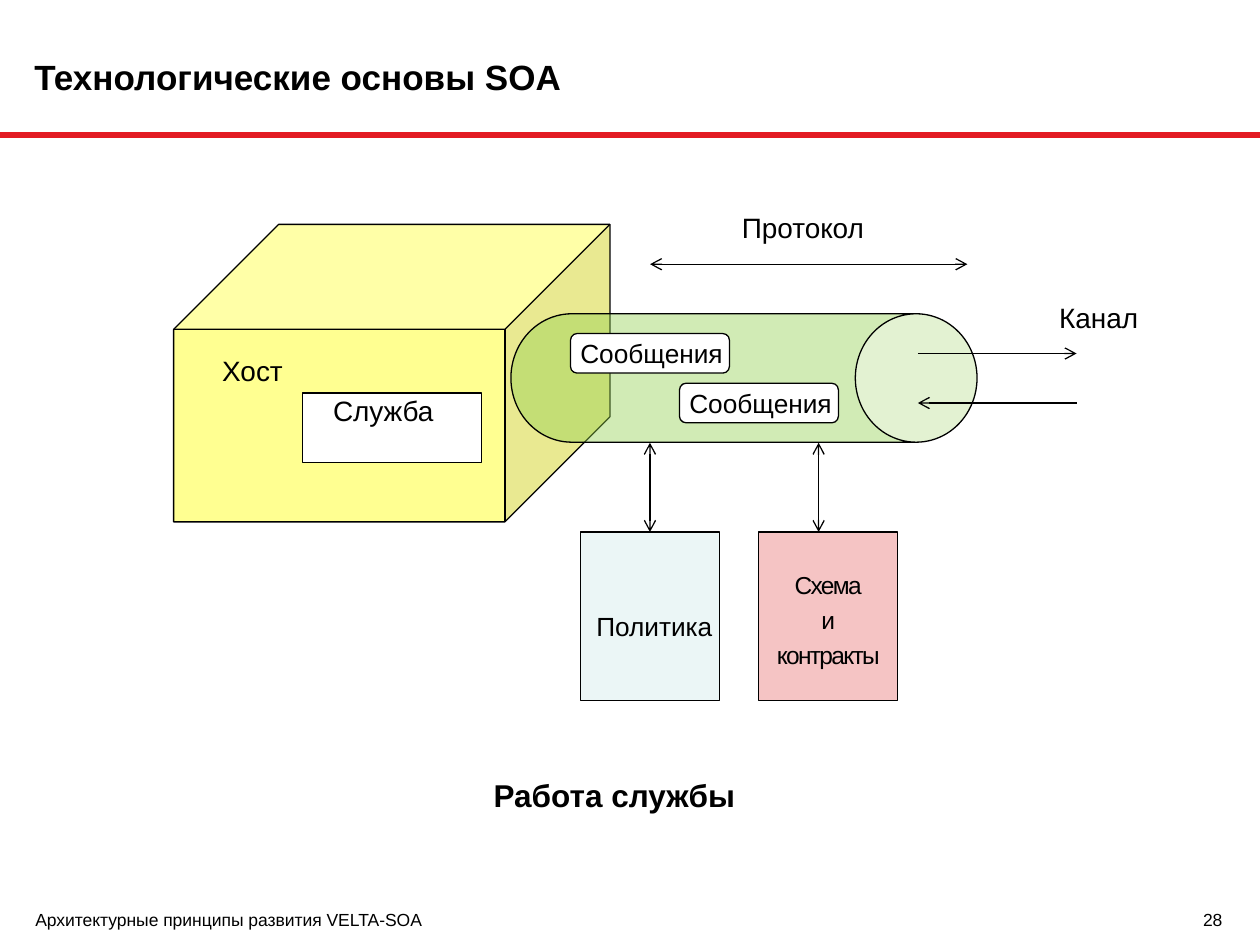
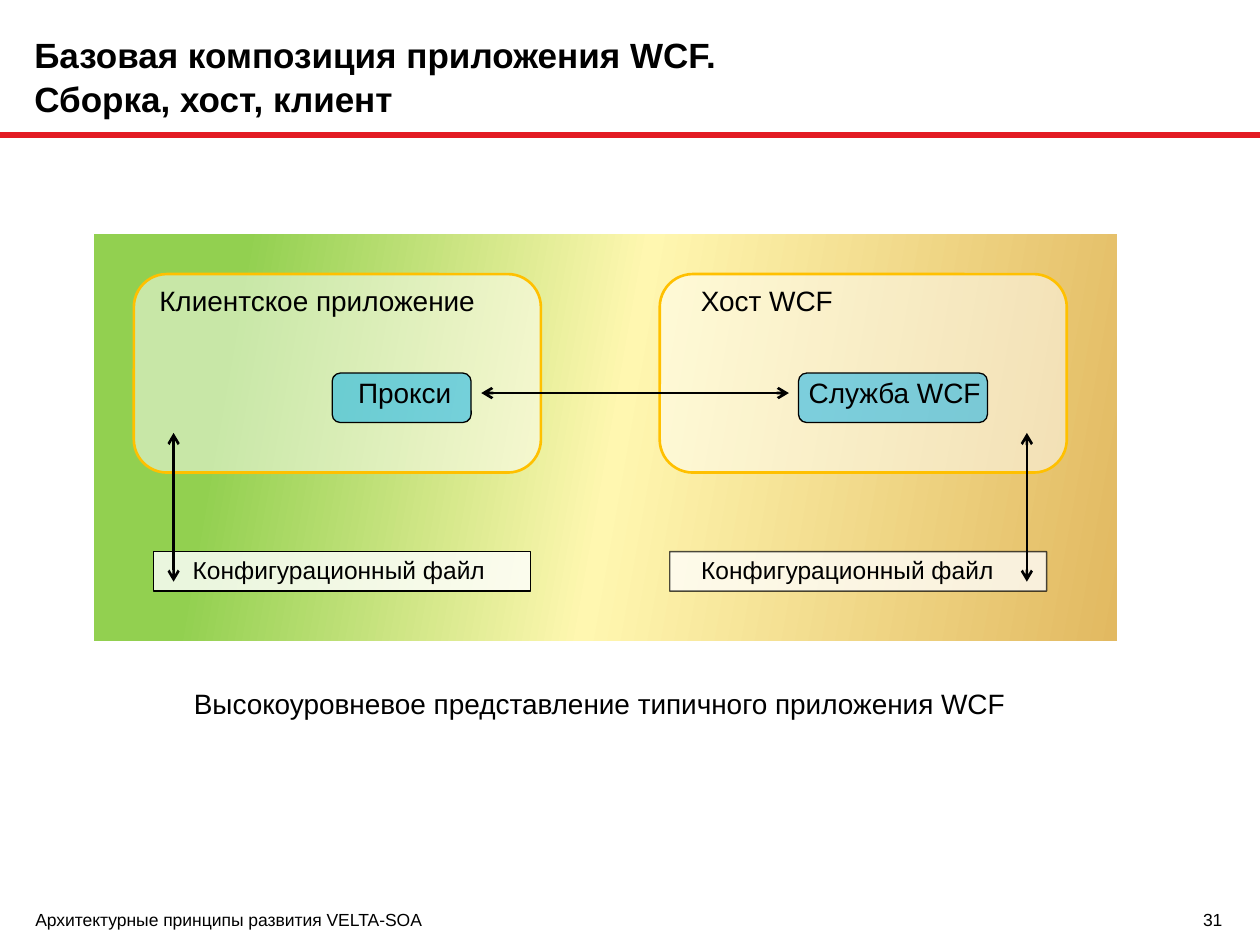
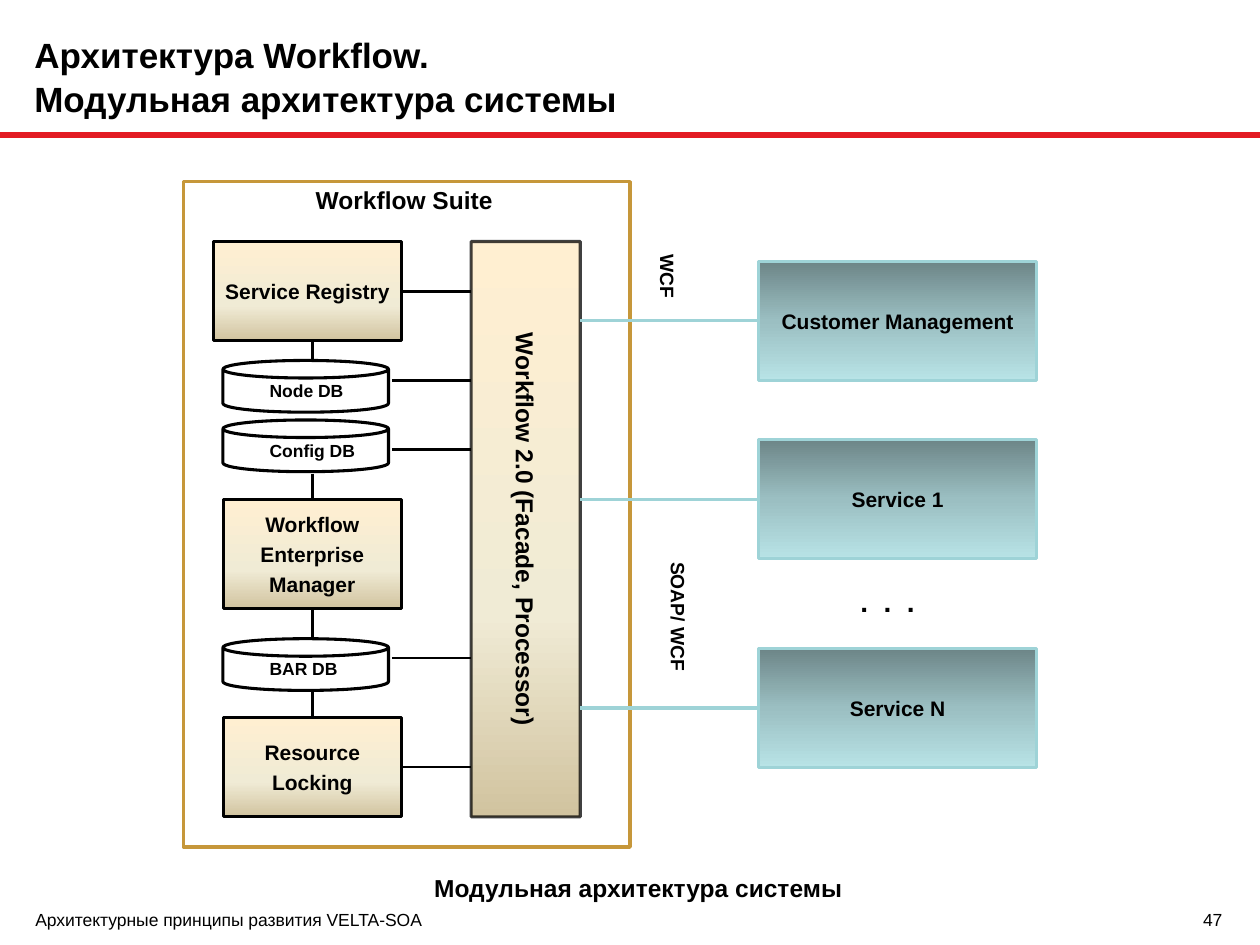
import pptx
import pptx.dml.color
import pptx.enum.shapes
import pptx.enum.text
import pptx.oxml
import pptx.oxml.ns
import pptx.util
from dataclasses import dataclass
from lxml import etree

Pt = pptx.util.Pt
qn = pptx.oxml.ns.qn
RGB = pptx.dml.color.RGBColor.from_string
SHAPE = pptx.enum.shapes.MSO_SHAPE
ANCHOR = pptx.enum.text.MSO_ANCHOR
ALIGN = pptx.enum.text.PP_ALIGN


@dataclass(frozen=True)
class Theme:
    font: str = "Arial"
    black: str = "000000"
    white: str = "FFFFFF"
    red: str = "E31B23"
    amber: str = "FFC000"
    gold: str = "C6973A"
    aqua: str = "9ED3D7"
    # Translucent paints are (colour, opacity in percent)
    host: tuple = ("FFFF00", 43)
    channel: tuple = ("92D050", 42)
    policy: tuple = ("BBE0E3", 29)
    contract: tuple = ("DB1515", 25)
    program: tuple = ("FFFFFF", 50)
    endpoint: tuple = ("00AEEF", 50)
    # Gradients are (angle, stops)
    landscape: tuple = (10, ((14, "92D050"), (51, "FFF7B0"), (100, "E2B961")))
    sand: tuple = (90, ((0, "FFEFD1"), (65, "F0EBD5"), (100, "D1C39F")))
    steel: tuple = (90, ((0, "6D8688"), (50, "9BBFC2"), (100, "B8E3E6")))
    title: int = 20
    heading: int = 18
    body: int = 16
    message: int = 15
    small: int = 14
    block: int = 12
    protocol: int = 11
    footer: int = 10


theme = Theme()


def add_box(page, kind, place, lines=(), size=theme.body, bold=False, fill=None,
            line=None, weight=0.75, inset=(0, 0), align=ALIGN.LEFT,
            anchor=ANCHOR.TOP, vertical=False, tracking=0, lead=0.23):
    """Add a shape, or a text box when kind is None; inset is (left, top)."""
    place = [Pt(value) for value in place]
    if kind is None:
        box = page.shapes.add_textbox(*place)
    else:
        box = page.shapes.add_shape(kind, *place)
        box.shadow.inherit = False
        box.line.width = Pt(weight)
        for target, paint in ((box.fill, fill), (box.line.fill, line)):
            if paint is None:
                target.background()
            elif isinstance(paint, tuple) and isinstance(paint[1], tuple):
                target.gradient()
                gradient = box._element.spPr.find(qn("a:gradFill"))
                gradient.find(qn("a:lin")).set("ang", str(paint[0] * 60000))
                stops = gradient.find(qn("a:gsLst"))
                stops.clear()
                for position, colour in paint[1]:
                    stop = etree.SubElement(stops, qn("a:gs"), pos=str(position * 1000))
                    etree.SubElement(stop, qn("a:srgbClr"), val=colour)
            else:
                colour, opacity = paint if isinstance(paint, tuple) else (paint, 100)
                target.solid()
                target.fore_color.rgb = RGB(colour)
                if opacity < 100:
                    parent = box._element.spPr
                    if target is not box.fill:
                        parent = parent.find(qn("a:ln"))
                    tint = parent.find(qn("a:solidFill")).find(qn("a:srgbClr"))
                    etree.SubElement(tint, qn("a:alpha"), val=str(opacity * 1000))
    frame = box.text_frame
    frame.word_wrap = True
    frame.vertical_anchor = anchor
    frame.margin_left, frame.margin_top = Pt(inset[0]), Pt(inset[1])
    frame.margin_right = frame.margin_bottom = 0
    if vertical:
        frame._txBody.bodyPr.set("vert", "vert")
    for index, text in enumerate(lines):
        para = frame.add_paragraph() if index else frame.paragraphs[0]
        para.alignment = align
        para.space_before = Pt(round(size * lead, 1))
        span = para.add_run()
        span.text = text
        span.font.name, span.font.size, span.font.bold = theme.font, Pt(size), bold
        span.font.color.rgb = RGB(theme.black)
        if tracking:
            span._r.get_or_add_rPr().set("spc", str(round(tracking * 100)))
    return box


def add_line(page, start, end, colour=theme.black, weight=0.75, heads=(),
             begin=None, finish=None):
    """Add a line; begin and finish are (shape, site) joints."""
    line = page.shapes.add_connector(
        pptx.enum.shapes.MSO_CONNECTOR.STRAIGHT, *[Pt(value) for value in (*start, *end)])
    line.line.color.rgb = RGB(colour)
    line.line.width = Pt(weight)
    for head in heads:
        etree.SubElement(line.line._get_or_add_ln(), qn("a:" + head), type="arrow")
    etree.SubElement(line._element.spPr, qn("a:effectLst"))
    if begin:
        line.begin_connect(*begin)
    if finish:
        line.end_connect(*finish)


BOTH = ("headEnd", "tailEnd")
TO_END = ("tailEnd",)
LABEL_INSET = (7.2, 3.6)

deck = pptx.Presentation()
deck.slide_width, deck.slide_height = Pt(720), Pt(540)

# Shared frame: rule, title, footer, page number
pages = []
for number, title_lines in (
    ("28", ["Технологические основы SOA"]),
    ("31", ["Базовая композиция приложения WCF.", "Сборка, хост, клиент"]),
    ("47", ["Архитектура Workflow.", "Модульная архитектура системы"]),
):
    page = deck.slides.add_slide(deck.slide_layouts[5])
    pages.append(page)
    add_line(page, (0, 77.2), (720, 77.2), theme.red, 3)
    title = page.shapes.title
    title.left, title.top, title.width, title.height = Pt(19.6), Pt(9.5), Pt(607), Pt(67.5)
    frame = title.text_frame
    frame.word_wrap = True
    frame.auto_size = pptx.enum.text.MSO_AUTO_SIZE.NONE
    frame.vertical_anchor = ANCHOR.MIDDLE
    frame.margin_left = frame.margin_top = frame.margin_right = frame.margin_bottom = 0
    para = frame.paragraphs[0]
    para.alignment = ALIGN.LEFT
    para.line_spacing = 1.04
    for index, text in enumerate(title_lines):
        if index:
            para.add_line_break()
        span = para.add_run()
        span.text = text
        span.font.name, span.font.size, span.font.bold = theme.font, Pt(theme.title), True
        span.font.color.rgb = RGB(theme.black)
    add_box(page, None, (20.2, 514, 640, 17.3), ["Архитектурные принципы развития VELTA-SOA"],
            theme.footer, anchor=ANCHOR.BOTTOM, lead=0)
    add_box(page, None, (667.5, 514, 31, 17.3), [number], theme.footer,
            align=ALIGN.RIGHT, anchor=ANCHOR.BOTTOM, lead=0)

service_page, wcf_page, workflow_page = pages

# Service operation
page = service_page
host = add_box(page, SHAPE.CUBE, (99.2, 128.2, 249.3, 170), fill=theme.host, line=theme.black)
host.adjustments[0] = 0.353
channel = add_box(page, SHAPE.CAN, (388.4, 82.8, 73.4, 266.4),
                  fill=theme.channel, line=theme.black)
channel.adjustments[0] = 0.948
channel.rotation = 90
add_box(page, None, (275, 440, 159, 28.8), ["Работа службы"], theme.heading, True,
        inset=LABEL_INSET)
add_box(page, SHAPE.RECTANGLE, (172.8, 224.6, 102.2, 39.6), ["Служба"],
        fill=theme.white, line=theme.black, inset=(17.5, 0))
add_box(page, None, (105, 202.3, 72, 28), ["Хост"], inset=(22, 0))
for left, top in ((326, 190.6), (388.3, 219)):
    add_box(page, SHAPE.ROUNDED_RECTANGLE, (left, top, 90.8, 22.6), ["Сообщения"],
            theme.message, fill=theme.white, line=theme.black, inset=(4.5, 1))
for left, top, width, text in ((416.8, 116.6, 90, "Протокол"), (598.2, 168, 66, "Канал")):
    add_box(page, None, (left, top, width, 26.6), [text], inset=LABEL_INSET)
policy = add_box(page, SHAPE.RECTANGLE, (331.7, 304, 79.4, 96.3), ["Политика"],
                 theme.message, fill=theme.policy, line=theme.black, inset=(9, 45))
add_box(page, SHAPE.RECTANGLE, (433.6, 304, 79.4, 96.3), ["Схема", "и", "контракты"],
        theme.small, fill=theme.contract, line=theme.black, inset=(0, 21.6),
        align=ALIGN.CENTER, tracking=-1)
add_line(page, (371.5, 151), (552.8, 151), heads=BOTH)
add_line(page, (524.5, 202), (615.2, 202), heads=TO_END)
add_line(page, (615.2, 230.3), (524.5, 230.3), heads=TO_END)
add_line(page, (371.4, 253), (371.4, 304), heads=BOTH, finish=(policy, 0))
add_line(page, (467.8, 253), (467.8, 304), heads=BOTH)

# WCF application
page = wcf_page
add_box(page, SHAPE.RECTANGLE, (53.8, 133.8, 584.4, 232.5), fill=theme.landscape)
for left, text, indent in ((76.5, "Клиентское приложение", 9), (377, "Хост WCF", 18)):
    add_box(page, SHAPE.ROUNDED_RECTANGLE, (left, 156.6, 232.6, 113.4), [text],
            fill=theme.program, line=theme.amber, weight=1.5, inset=(indent, 0))
for left, width, text, indent in ((456.3, 108, "Служба WCF", 4.5), (189.8, 79.4, "Прокси", 13.5)):
    add_box(page, SHAPE.ROUNDED_RECTANGLE, (left, 213.2, width, 28.3), [text],
            fill=theme.endpoint, line=theme.black, inset=(indent, 0))
for left, opacity, line_opacity, indent in ((382.7, 76, 69, 18), (87.7, 81, 100, 22.4)):
    add_box(page, SHAPE.RECTANGLE, (left, 315.2, 215.4, 22.6), ["Конфигурационный файл"],
            theme.small, fill=(theme.white, opacity), line=(theme.black, line_opacity),
            inset=(indent, 2))
add_line(page, (275, 224.6), (450.8, 224.6), weight=1.5, heads=BOTH)
for x in (586.8, 99.2):
    add_line(page, (x, 247.4), (x, 332.4), weight=1.5, heads=BOTH)
add_box(page, None, (99.2, 388.8, 487.5, 26.6),
        ["Высокоуровневое представление типичного приложения WCF"], inset=(11.6, 3.6))

# Workflow modules
page = workflow_page
add_box(page, None, (241, 495.4, 253, 24.5), ["Модульная архитектура системы"],
        theme.small, True, inset=LABEL_INSET)
add_box(page, SHAPE.RECTANGLE, (104.9, 103.8, 255.1, 380.2), ["Workflow Suite"], theme.small,
        True, line=theme.gold, weight=2, inset=(75.5, 2))
modules = []
for left, top, width, height, lines in (
    (121.8, 138, 107.8, 56.8, ["Service Registry"]),
    (127.5, 285.3, 102, 62.4, ["Workflow", "Enterprise", "Manager"]),
    (127.5, 410, 102, 56.8, ["Resource", "Locking"]),
):
    modules.append(add_box(page, SHAPE.RECTANGLE, (left, top, width, height), lines, theme.block,
                           True, theme.sand, theme.black, 1.75, align=ALIGN.CENTER,
                           anchor=ANCHOR.MIDDLE))
registry, manager, locking = modules
add_box(page, SHAPE.RECTANGLE, (269.2, 138, 62.4, 328.8), ["Workflow 2.0 (Facade, Processor)"],
        theme.small, True, theme.sand, (theme.black, 75), 1.75, align=ALIGN.CENTER,
        anchor=ANCHOR.MIDDLE, vertical=True)
for top, text, fill in ((365, "BAR DB", theme.white), (240, "Config DB", theme.white),
                        (206, "Node DB", (theme.white, 41))):
    store = add_box(page, SHAPE.CAN, (127.4, top, 94.6, 29.6), [text], theme.footer, True,
                    fill, theme.black, 1.75, inset=(26.7, 0), anchor=ANCHOR.MIDDLE)
    store.adjustments[0] = 0.34

for x, y, begin in ((229.6, 166.4, (registry, 3)), (224, 217.4, None), (224, 257, None),
                    (224, 376, None), (229.5, 438.4, (locking, 3))):
    add_line(page, (x, y), (269.2, y), weight=1.5, begin=begin)
for top, bottom, begin, finish in (
    (194.8, 206, None, None), (270.6, 285.3, None, (manager, 0)),
    (347.7, 365, (manager, 2), None), (395.2, 410, None, (locking, 0)),
):
    add_line(page, (178.5, top), (178.5, bottom), weight=1.5, begin=begin, finish=finish)

for top, text in ((149.4, "Customer Management"), (251.4, "Service 1"), (370.6, "Service N")):
    service = add_box(page, SHAPE.RECTANGLE, (433.6, top, 158.8, 68), [text], theme.block, True,
                      theme.steel, theme.aqua, 1.75, align=ALIGN.CENTER, anchor=ANCHOR.MIDDLE)
    add_line(page, (331.6, top + 34), (433.6, top + 34), theme.aqua, 1.75, finish=(service, 1))
for left, top, height, text in ((365.8, 138, 45.4, "WCF"), (372, 314, 79.2, "SOAP/ WCF")):
    add_box(page, None, (left, top, 28, height), [text], theme.protocol, True,
            inset=(3.6, 7.2), anchor=ANCHOR.MIDDLE, vertical=True)
add_box(page, None, (484.6, 330.5, 57, 26.6), [". . ."], bold=True, inset=LABEL_INSET,
        tracking=2.2)

deck.save("out.pptx")
